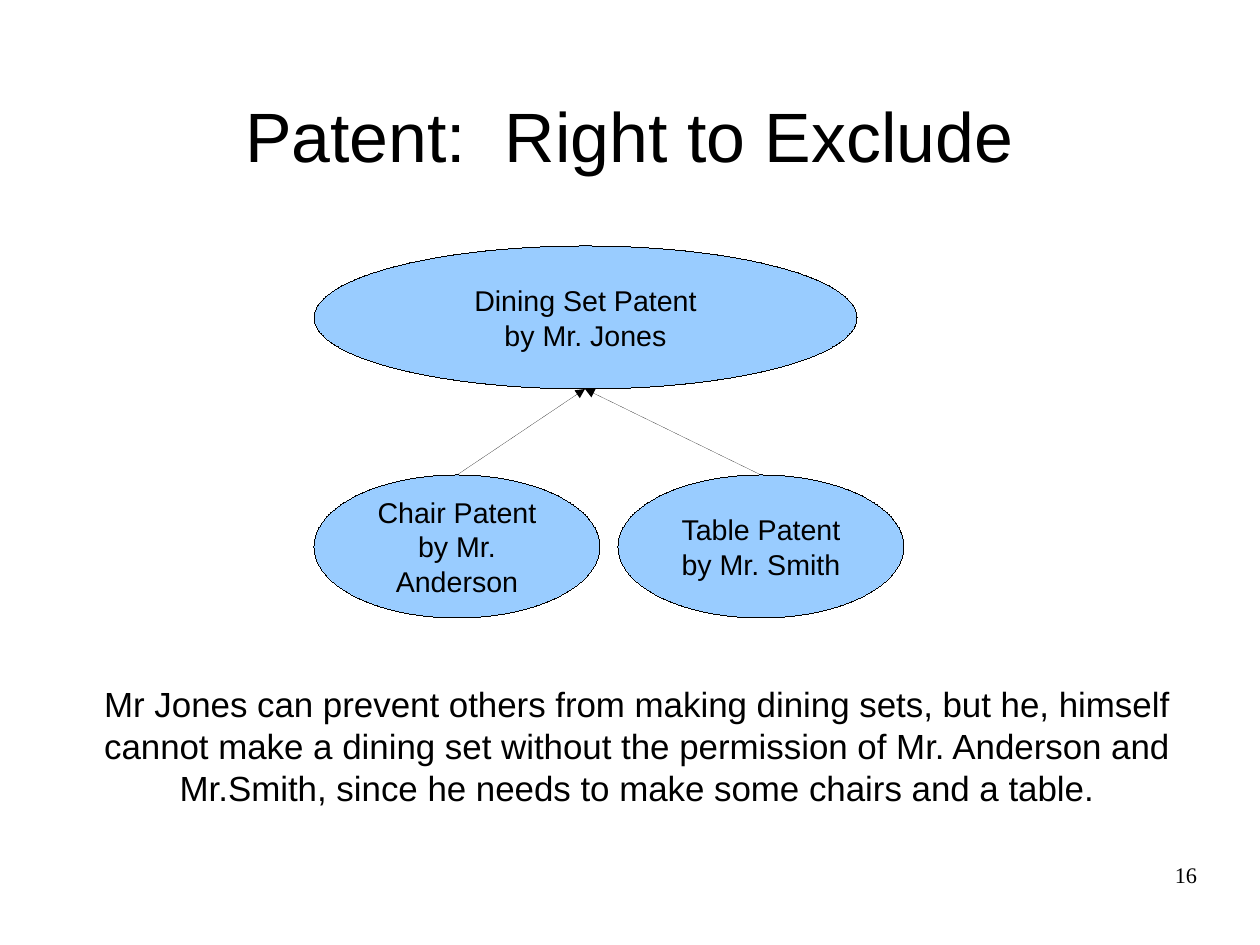
import pptx
import pptx.util
import pptx.dml.color
import pptx.enum.shapes
import pptx.enum.text
import pptx.oxml.ns
import lxml.etree

PX = 8000  # EMU in one px
ALIGN = pptx.enum.text.PP_ALIGN
ANCHOR = pptx.enum.text.MSO_ANCHOR
qn = pptx.oxml.ns.qn


def px(*sizes):
    return [pptx.util.Emu(size * PX) for size in sizes]


def color(code):
    return pptx.dml.color.RGBColor.from_string(code)


def write(shape, lines, size, align=ALIGN.CENTER, font="Arial",
          anchor=ANCHOR.TOP, inset=(11, 6)):
    frame = shape.text_frame
    frame.word_wrap = True
    frame.vertical_anchor = anchor
    side, edge = px(*inset)
    frame.margin_left = frame.margin_right = side
    frame.margin_top = frame.margin_bottom = edge
    for i, line in enumerate(lines):
        para = frame.add_paragraph() if i else frame.paragraphs[0]
        para.alignment = align
        run = para.add_run()
        run.text = line
        run.font.size = pptx.util.Pt(size)
        run.font.name = font
        run.font.color.rgb = color("000000")


def label(slide, box, text, size, **style):
    write(slide.shapes.add_textbox(*px(*box)), [text], size, **style)


def hairline(shape):
    """Give a black hairline, free of the theme's line width."""
    shape._element.remove(shape._element.find(qn("p:style")))
    shape.line.color.rgb = color("000000")
    shape.line.width = pptx.util.Pt(0)


def oval(slide, box, lines):
    shape = slide.shapes.add_shape(
        pptx.enum.shapes.MSO_SHAPE.OVAL, *px(*box))
    shape.shadow.inherit = False
    shape.fill.solid()
    shape.fill.fore_color.rgb = color("99CCFF")
    hairline(shape)
    write(shape, lines, 18, anchor=ANCHOR.MIDDLE)


def arrow(slide, start, end):
    link = slide.shapes.add_connector(
        pptx.enum.shapes.MSO_CONNECTOR.STRAIGHT, *px(*start, *end))
    hairline(link)
    lxml.etree.SubElement(link.line._ln, qn("a:tailEnd"), type="triangle")
    lxml.etree.SubElement(link._element.spPr, qn("a:effectLst"))


def tree(slide, box):
    """Draw the main patent above the two patents it depends on."""
    left, top, width, height = box
    oval_h, root_w, part_w = 143, 543, 286
    part_y = top + height - oval_h
    root_end = (left + root_w // 2, top + oval_h)
    parts = [
        (left, ["Chair Patent", "by Mr. Anderson"]),
        (left + width - part_w, ["Table Patent", "by Mr. Smith"]),
    ]
    for x, lines in parts:
        oval(slide, (x, part_y, part_w, oval_h), lines)
    oval(slide, (left, top, root_w, oval_h),
         ["Dining Set Patent", "by Mr. Jones"])
    for x, _ in parts:
        arrow(slide, (x + part_w // 2, part_y), root_end)


def main():
    deck = pptx.Presentation()
    deck.slide_width, deck.slide_height = px(1260, 945)
    slide = deck.slides.add_slide(deck.slide_layouts[6])
    label(slide, (63, 56, 1134, 158), "Patent:  Right to Exclude", 44,
          anchor=ANCHOR.MIDDLE, inset=(0, 0))
    tree(slide, (314, 246, 590, 372))
    label(slide, (82, 677, 1110, 128),
          "Mr Jones can prevent others from making dining sets, but he, "
          "himself cannot make a dining set without the permission of "
          "Mr. Anderson and Mr.Smith, since he needs to make some chairs "
          "and a table.", 22)
    label(slide, (903, 861, 294, 65), "16", 14, align=ALIGN.RIGHT,
          font="Times New Roman", inset=(0, 0))
    deck.save("out.pptx")


if __name__ == "__main__":
    main()
